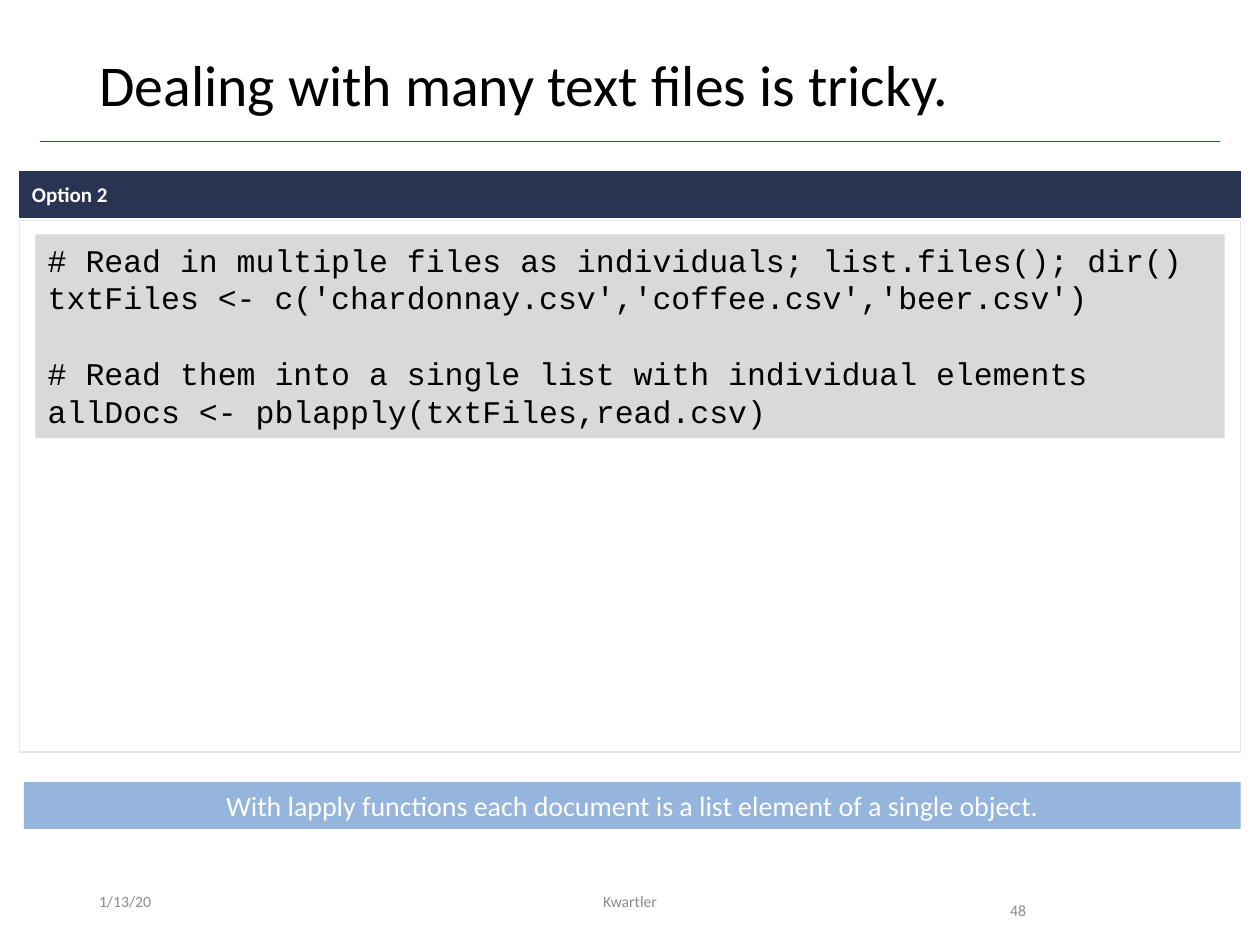
from pptx import Presentation
from pptx.dml.color import RGBColor as RGB
from pptx.enum.shapes import MSO_CONNECTOR as LINE, MSO_SHAPE as SHAPE
from pptx.enum.text import MSO_ANCHOR as ANCHOR, PP_ALIGN as ALIGN
from pptx.oxml.ns import qn
from pptx.util import Pt

BLACK = RGB(0x00, 0x00, 0x00)
WHITE = RGB(0xFF, 0xFF, 0xFF)
GREY = RGB(0x8C, 0x8C, 0x8C)
SILVER = RGB(0xD9, 0xD9, 0xD9)
PALE = RGB(0xE7, 0xE6, 0xE6)
NAVY = RGB(0x29, 0x33, 0x52)
BLUE = RGB(0x95, 0xB5, 0xDC)
RED = RGB(0xA5, 0x1C, 0x30)


def add_box(left, top, width, height, fill, edge=None):
    box = slide.shapes.add_shape(SHAPE.RECTANGLE, Pt(left), Pt(top), Pt(width), Pt(height))
    box.shadow.inherit = False
    box.fill.solid()
    box.fill.fore_color.rgb = fill
    if edge is None:
        box.line.fill.background()
    else:
        box.line.color.rgb = edge
        box.line.width = Pt(0.75)
    return box


def write(shape, text, size, color, align=ALIGN.LEFT, anchor=ANCHOR.TOP, face="Calibri"):
    frame = shape.text_frame
    frame.word_wrap = True
    frame.vertical_anchor = anchor
    frame.text = text
    for para in frame.paragraphs:
        para.alignment = align
        for run in para.runs:
            run.font.name = face
            run.font.size = Pt(size)
            run.font.color.rgb = color
    return frame


prs = Presentation()
prs.slide_width, prs.slide_height = Pt(720), Pt(540)
slide = prs.slides.add_slide(prs.slide_layouts[5])

# Title and rule
title = slide.shapes.title
title.left, title.top, title.width, title.height = Pt(49.5), Pt(28.8), Pt(621), Pt(46.8)
write(title, "Dealing with many text files is tricky.", 33, BLACK).paragraphs[0].line_spacing = 0.9

rule = slide.shapes.add_connector(LINE.STRAIGHT, Pt(23), Pt(80.8), Pt(697), Pt(80.8))
rule.line.color.rgb = RED
rule.line.width = Pt(0.5)
props = rule._element.spPr
props.append(props.makeelement(qn("a:effectLst"), {}))

# Option panel
add_box(11.2, 126, 697.7, 303.8, WHITE, PALE)
head = add_box(11.2, 98, 697.7, 26, NAVY, NAVY)
write(head, "Option 2", 12, WHITE, anchor=ANCHOR.MIDDLE).paragraphs[0].runs[0].font.bold = True

CODE = [
    "# Read in multiple files as individuals; list.files(); dir()",
    "txtFiles <- c('chardonnay.csv','coffee.csv','beer.csv')",
    "# Read them into a single list with individual elements",
    "allDocs <- pblapply(txtFiles,read.csv)",
]
code = add_box(20.2, 134, 679.7, 116.4, SILVER)
lines = write(code, "\n".join(CODE), 18, BLACK, face="Courier New").paragraphs
lines[2].space_before = Pt(21.5)

# Takeaway
note = add_box(13.7, 447, 695.3, 26.7, BLUE)
write(note, "With lapply functions each document is a list element of a single object.",
      16, WHITE, ALIGN.CENTER)

# Footer
FOOT = [
    (49.5, 162, "1/13/20", ALIGN.LEFT, ANCHOR.MIDDLE, 1),
    (238.5, 243, "Kwartler", ALIGN.CENTER, ANCHOR.MIDDLE, 1),
    (570.2, 67.5, "48", ALIGN.LEFT, ANCHOR.TOP, 2),
]
for left, width, text, align, anchor, space in FOOT:
    foot = slide.shapes.add_textbox(Pt(left), Pt(500.5), Pt(width), Pt(28.75))
    write(foot, text, 9, GREY, align, anchor).paragraphs[0].line_spacing = space

prs.save("out.pptx")
